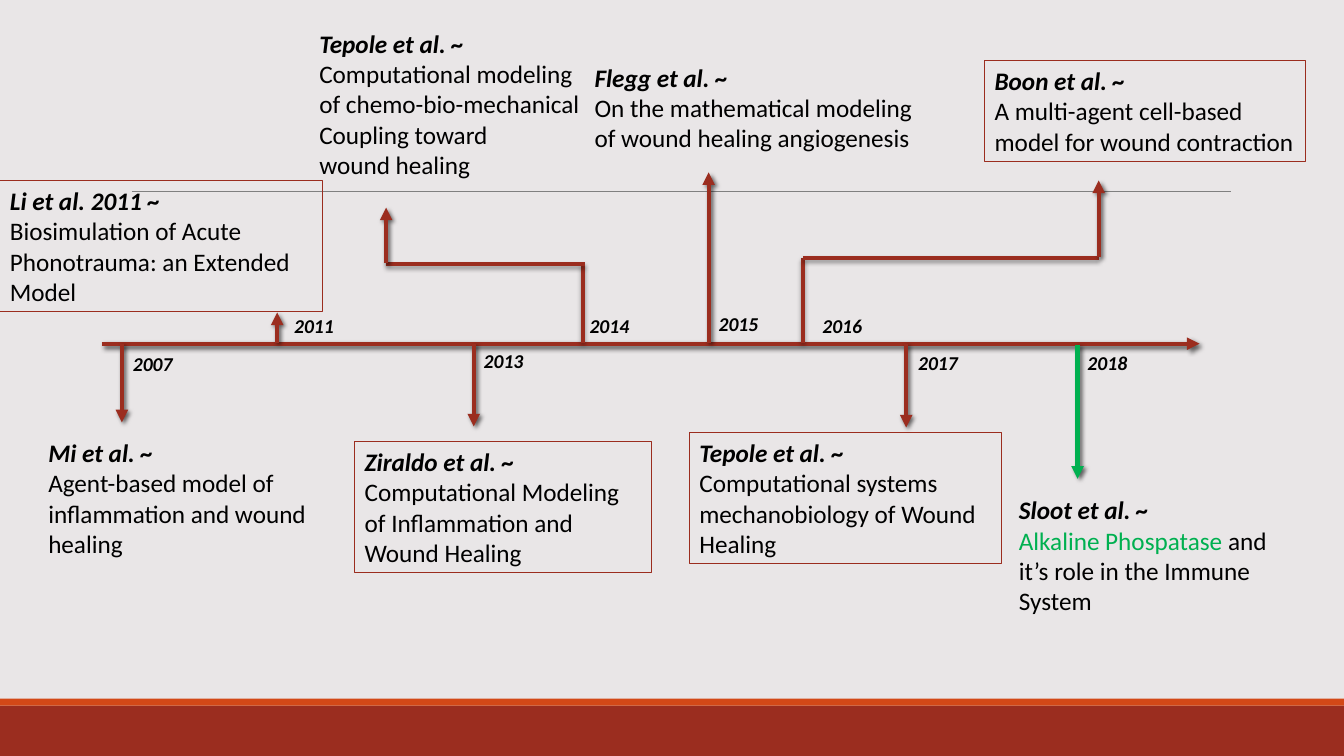
from dataclasses import dataclass
from typing import Optional

from lxml import etree
from pptx import Presentation
from pptx import util as u
from pptx.dml.color import RGBColor
from pptx.enum import shapes, text
from pptx.oxml.ns import qn

RED, GREEN, ORANGE, BLACK = "9B2D1F", "00B050", "D34817", "000000"
GREY, BACKGROUND = "808080", "E9E6E7"
FONT = "Calibri"
AXIS_Y = 245.5
YEAR_SIZE = (59, 23.8)


@dataclass
class Run:
    text: str
    color: str = BLACK


@dataclass
class Study:
    authors: str
    summary: list[list[Run]]
    left: float
    top: float
    width: float
    height: float
    border: Optional[float] = None


@dataclass
class Year:
    label: str
    left: float
    top: float


@dataclass
class Line:
    x1: float
    y1: float
    x2: float
    y2: float
    arrow: bool = True
    color: str = RED


@dataclass
class Shadow:
    opacity: int
    blur: float
    distance: float
    angle: int


ARROW_SHADOW = Shadow(60, 3, 2, 45)
PLAIN_SHADOW = Shadow(35, 3.1, 1.8, 90)

LINES = [
    Line(72.7, AXIS_Y, 856.8, AXIS_Y),
    # Downward arrows
    Line(338.4, AXIS_Y, 338.4, 304.6),
    Line(647.3, AXIS_Y, 647.3, 305.3),
    Line(87.1, AXIS_Y, 87.1, 301.7),
    Line(769.7, 246.2, 769.7, 342, color=GREEN),
    # 2016 bend
    Line(573.8, 244.8, 573.8, 184.3, arrow=False),
    Line(573.8, 184.3, 784.8, 184.3, arrow=False),
    Line(784.8, 183.6, 784.8, 128.9),
    # 2014 bend
    Line(416.2, 244.8, 416.2, 188.6, arrow=False),
    Line(275.8, 188.8, 417.6, 188.8, arrow=False),
    Line(275.8, 187.9, 275.8, 148.3),
    # Upward arrows
    Line(506.2, 244.8, 506.2, 123.1),
    Line(198, 244.8, 198, 223.2),
]

YEARS = [
    Year("2007", 87.8, 247.7),
    Year("2011", 203, 221),
    Year("2013", 338.4, 245.5),
    Year("2014", 414, 221),
    Year("2015", 506.2, 219.6),
    Year("2016", 580.3, 221),
    Year("2017", 648.7, 247),
    Year("2018", 769.7, 247),
]

STUDIES = [
    Study("Mi et al. ~", [[Run("Agent-based model of inflammation and wound healing")]],
          27.4, 308.9, 201.6, 93.6),
    Study("Li et al. 2011 ~", [[Run("Biosimulation of Acute Phonotrauma: an Extended Model")]],
          0, 128.9, 230.4, 93.6, 0.75),
    Study("Ziraldo et al. ~",
          [[Run("Computational Modeling of Inflammation and Wound Healing")]],
          253.4, 315.4, 211.7, 93.6, 0.75),
    Study("Tepole et al. ~",
          [[Run("Computational modeling of chemo-bio-mechanical")],
           [Run("Coupling toward")], [Run("wound healing")]],
          221, 16.6, 211, 115.2),
    Study("Flegg et al. ~",
          [[Run("On the mathematical modeling of wound healing angiogenesis")]],
          417.6, 40.7, 241.9, 62.6),
    Study("Boon et al. ~", [[Run("A multi-agent cell-based model for wound contraction")]],
          703.4, 43.2, 229.2, 72, 1),
    Study("Tepole et al. ~", [[Run("Computational systems mechanobiology of Wound Healing")]],
          492.5, 308.9, 223.2, 93.6, 0.75),
    Study("Sloot et al. ~",
          [[Run("Alkaline Phospatase ", GREEN), Run("and it’s role in the Immune System")]],
          720.7, 349.9, 212.4, 115.2),
]


def rgb(color: str) -> RGBColor:
    return RGBColor.from_string(color)


def add_run(paragraph, content: Run, size: float, emphasis: bool) -> None:
    run = paragraph.add_run()
    run.text = content.text
    run.font.name = FONT
    run.font.size = u.Pt(size)
    run.font.bold = run.font.italic = emphasis
    run.font.color.rgb = rgb(content.color)


def add_bar(slide, top: float, height: float, color: str) -> None:
    bar = slide.shapes.add_shape(shapes.MSO_SHAPE.RECTANGLE, 0, u.Pt(top), u.Pt(960), u.Pt(height))
    bar.shadow.inherit = False
    bar.fill.solid()
    bar.fill.fore_color.rgb = rgb(color)
    bar.line.fill.background()


def add_line(slide, line: Line, width: float, shadow: Optional[Shadow] = None) -> None:
    connector = slide.shapes.add_connector(
        shapes.MSO_CONNECTOR.STRAIGHT,
        u.Pt(line.x1), u.Pt(line.y1), u.Pt(line.x2), u.Pt(line.y2))
    connector.line.color.rgb = rgb(line.color)
    connector.line.width = u.Pt(width)
    properties = connector._element.spPr
    if line.arrow:
        etree.SubElement(properties.find(qn("a:ln")), qn("a:tailEnd"), type="triangle")
    effects = etree.SubElement(properties, qn("a:effectLst"))
    if shadow:
        outer = etree.SubElement(
            effects, qn("a:outerShdw"), blurRad=str(u.Pt(shadow.blur)),
            dist=str(u.Pt(shadow.distance)), dir=str(shadow.angle * 60000), rotWithShape="0")
        shade = etree.SubElement(outer, qn("a:srgbClr"), val=BLACK)
        etree.SubElement(shade, qn("a:alpha"), val=str(shadow.opacity * 1000))


def add_study(slide, study: Study) -> None:
    place = [u.Pt(value) for value in (study.left, study.top, study.width, study.height)]
    if study.border:
        box = slide.shapes.add_shape(shapes.MSO_SHAPE.RECTANGLE, *place)
        box.shadow.inherit = False
        box.fill.background()
        box.line.color.rgb = rgb(RED)
        box.line.width = u.Pt(study.border)
    else:
        box = slide.shapes.add_textbox(*place)
    frame = box.text_frame
    frame.word_wrap = True
    frame.vertical_anchor = text.MSO_ANCHOR.TOP
    add_run(frame.paragraphs[0], Run(study.authors), 18, True)
    for runs in study.summary:
        paragraph = frame.add_paragraph()
        for run in runs:
            add_run(paragraph, run, 18, False)
    for paragraph in frame.paragraphs:
        paragraph.alignment = text.PP_ALIGN.LEFT


def add_year(slide, year: Year) -> None:
    box = slide.shapes.add_textbox(u.Pt(year.left), u.Pt(year.top), *map(u.Pt, YEAR_SIZE))
    box.text_frame.word_wrap = True
    add_run(box.text_frame.paragraphs[0], Run(year.label), 14, True)


def main() -> None:
    presentation = Presentation()
    presentation.slide_width, presentation.slide_height = u.Pt(960), u.Pt(540)
    slide = presentation.slides.add_slide(presentation.slide_layouts[6])
    slide.background.fill.solid()
    slide.background.fill.fore_color.rgb = rgb(BACKGROUND)

    add_line(slide, Line(94.3, 136.8, 879.1, 136.8, arrow=False, color=GREY), 0.5)
    add_bar(slide, 504, 36, RED)
    add_bar(slide, 499, 5, ORANGE)
    for line in LINES:
        add_line(slide, line, 3, ARROW_SHADOW if line.arrow else PLAIN_SHADOW)
    for study in STUDIES:
        add_study(slide, study)
    for year in YEARS:
        add_year(slide, year)
    presentation.save("out.pptx")


if __name__ == "__main__":
    main()
